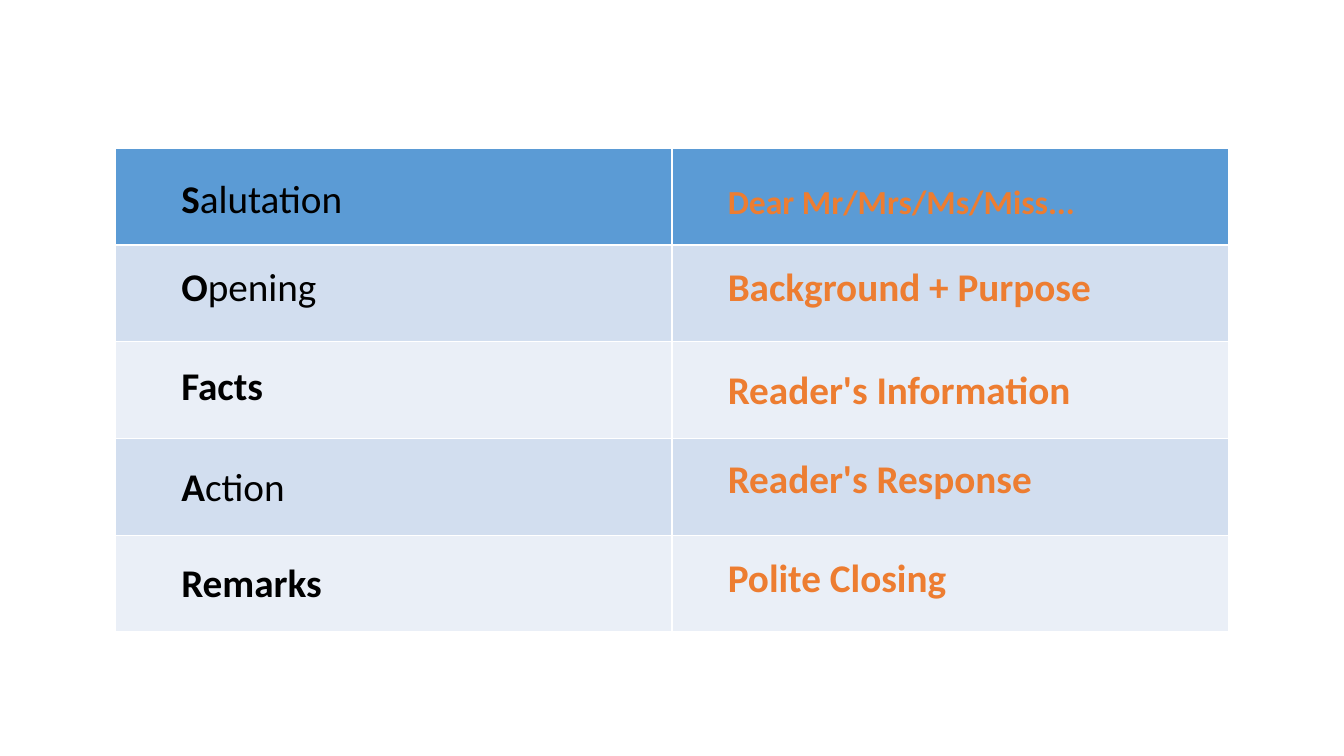
from pptx import Presentation
from pptx.dml.color import RGBColor
from pptx.enum.text import MSO_AUTO_SIZE
from pptx.util import Emu, Pt

EMU_PER_PX = 9144  # 100 px to the inch
COLOURS = {
    "header": "5B9BD5",
    "dark band": "D2DEEF",
    "light band": "EAEFF7",
    "part": "000000",
    "content": "ED7D31",
}
PART_LEFT, CONTENT_LEFT = 170, 712
LABEL_WIDTH = 430

# Letter part: top, bold start, plain rest
PARTS = [
    (168, "S", "alutation"),
    (255, "O", "pening"),
    (354, "Facts", ""),
    (454, "A", "ction"),
    (549, "Remarks", ""),
]
# What the part contains: top, text, font size
CONTENTS = [
    (175, "Dear Mr/Mrs/Ms/Miss...", 24),
    (255, "Background + Purpose", 28),
    (358, "Reader's Information", 28),
    (446, "Reader's Response", 28),
    (544, "Polite Closing", 28),
]


def px(length):
    return Emu(length * EMU_PER_PX)


def colour(name):
    return RGBColor.from_string(COLOURS[name])


def add_banded_table(slide, left, top, width, height, rows, columns):
    """Add an empty table with a header row and alternating bands."""
    table = slide.shapes.add_table(
        rows, columns, px(left), px(top), px(width), px(height)
    ).table
    for index, row in enumerate(table.rows):
        band = "dark band" if index % 2 else "light band"
        for cell in row.cells:
            cell.fill.solid()
            cell.fill.fore_color.rgb = colour(band if index else "header")


def add_label(slide, left, top, bold_text, plain_text, size, colour_name):
    height = 57 if size == 28 else 50
    box = slide.shapes.add_textbox(px(left), px(top), px(LABEL_WIDTH), px(height))
    frame = box.text_frame
    frame.word_wrap = True
    frame.auto_size = MSO_AUTO_SIZE.SHAPE_TO_FIT_TEXT
    paragraph = frame.paragraphs[0]
    paragraph.font.name = "Calibri"
    paragraph.font.size = Pt(size)
    paragraph.font.color.rgb = colour(colour_name)
    for text, bold in ((bold_text, True), (plain_text, False)):
        if text:
            run = paragraph.add_run()
            run.text = text
            run.font.bold = bold


def main():
    presentation = Presentation()
    presentation.slide_width = px(1333)
    presentation.slide_height = px(750)
    slide = presentation.slides.add_slide(presentation.slide_layouts[6])

    add_banded_table(slide, 114, 147, 1105, 480, rows=len(PARTS), columns=2)
    for top, bold_text, plain_text in PARTS:
        add_label(slide, PART_LEFT, top, bold_text, plain_text, 28, "part")
    for top, text, size in CONTENTS:
        add_label(slide, CONTENT_LEFT, top, text, "", size, "content")

    presentation.save("out.pptx")


if __name__ == "__main__":
    main()
